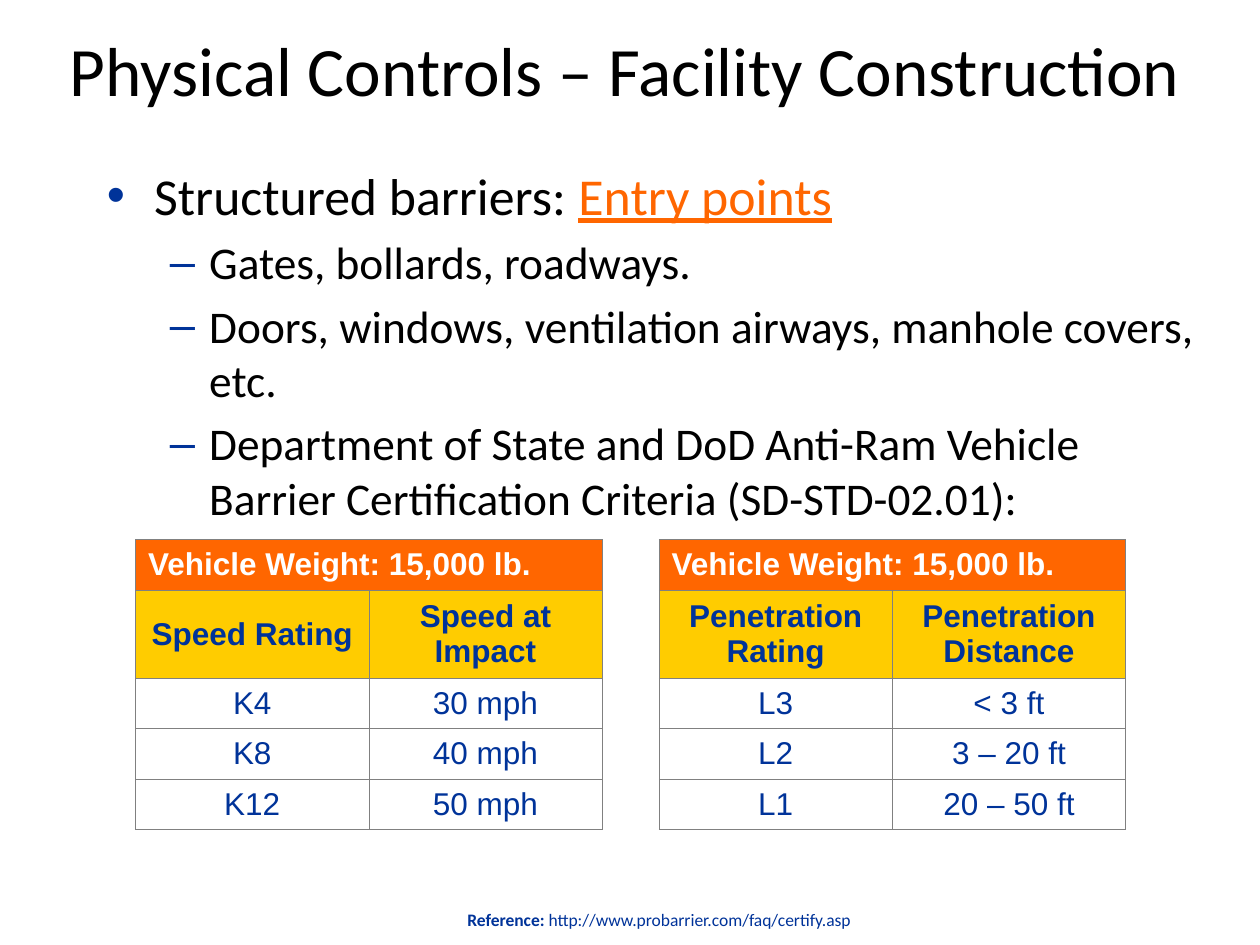
import pptx
import pptx.dml.color
import pptx.enum.text
import pptx.oxml
import pptx.oxml.ns
import pptx.util
from dataclasses import dataclass

Pt = pptx.util.Pt
ALIGN = pptx.enum.text.PP_ALIGN
MIDDLE = pptx.enum.text.MSO_ANCHOR.MIDDLE


@dataclass(frozen=True)
class Theme:
    black: str = "000000"
    white: str = "FFFFFF"
    navy: str = "003399"
    orange: str = "FF6600"
    yellow: str = "FFCC00"
    grid: str = "808080"
    heading_font: str = "Calibri"
    table_font: str = "Arial"
    title_size: float = 39.6
    point_size: float = 29.6
    subpoint_size: float = 25.9
    table_size: float = 18
    reference_size: float = 10


theme = Theme()


def write(paragraph, text, size, color, font=theme.heading_font, bold=False,
          underline=False, align=None):
    run = paragraph.add_run()
    run.text = text
    run.font.name = font
    run.font.size = Pt(size)
    run.font.bold = bold
    run.font.underline = underline
    run.font.color.rgb = pptx.dml.color.RGBColor.from_string(color)
    if align is not None:
        paragraph.alignment = align


def add_xml(parent, xml):
    namespace = pptx.oxml.ns.nsdecls("a")
    parent.append(pptx.oxml.parse_xml(xml.replace(" ", f" {namespace} ", 1)))


deck = pptx.Presentation()
deck.slide_width, deck.slide_height = Pt(720), Pt(540)
slide = deck.slides.add_slide(deck.slide_layouts[5])

# Title
title = slide.shapes.title
title.left, title.top, title.width, title.height = Pt(12.2), Pt(-2.9), Pt(690), Pt(84)
title.text_frame.vertical_anchor = MIDDLE
write(title.text_frame.paragraphs[0], "Physical Controls – Facility Construction",
      theme.title_size, theme.black, align=ALIGN.CENTER)

# Bulleted points: bullet, left margin, hanging indent, size, runs
points = [
    ("•", 27, 27, theme.point_size,
     [("Structured barriers: ", theme.black), ("Entry points", theme.orange)]),
]
for subpoint in (
    "Gates, bollards, roadways.",
    "Doors, windows, ventilation airways, manhole covers, etc.",
    "Department of State and DoD Anti-Ram Vehicle Barrier Certification Criteria (SD-STD-02.01):",
):
    points.append(("–", 58.5, 22.5, theme.subpoint_size, [(subpoint, theme.black)]))

barriers = slide.shapes.add_textbox(Pt(54), Pt(90), Pt(642), Pt(204)).text_frame
barriers.word_wrap = True
for index, (bullet, margin, hanging, size, runs) in enumerate(points):
    point = barriers.add_paragraph() if index else barriers.paragraphs[0]
    point.level = 1 if index else 0
    if index:
        point.space_before = Pt(5)
    properties = point._p.get_or_add_pPr()
    properties.set("marL", str(Pt(margin)))
    properties.set("indent", str(-Pt(hanging)))
    add_xml(properties, f'<a:buClr ><a:srgbClr val="{theme.navy}"/></a:buClr>')
    add_xml(properties, '<a:buFont typeface="Arial"/>')
    add_xml(properties, f'<a:buChar char="{bullet}"/>')
    for text, color in runs:
        write(point, text, size, color, underline=color == theme.orange)

# Rating tables: left edge, row height, header height, rows under the banner
ratings = [
    (77.5, 27.4, 47.4, [("Speed Rating", "Speed at Impact"),
                        ("K4", "30 mph"), ("K8", "40 mph"), ("K12", "50 mph")]),
    (376.6, 28.8, 50.4, [("Penetration Rating", "Penetration Distance"),
                         ("L3", "< 3 ft"), ("L2", "3 – 20 ft"), ("L1", "20 – 50 ft")]),
]
for left, row_height, header_height, body in ratings:
    rows = [("Vehicle Weight: 15,000 lb.", "")] + body
    height = row_height * 4 + header_height
    table = slide.shapes.add_table(len(rows), 2, Pt(left), Pt(308.3),
                                   Pt(266.6), Pt(height)).table
    table.first_row = table.horz_banding = False
    table.cell(0, 0).merge(table.cell(0, 1))
    for r, row in enumerate(rows):
        table.rows[r].height = Pt(header_height if r == 1 else row_height)
        for c, text in enumerate(row):
            cell = table.cell(r, c)
            cell.vertical_anchor = MIDDLE
            for side in "LRTB":
                add_xml(cell._tc.get_or_add_tcPr(),
                        f'<a:ln{side} w="{Pt(0.25)}"><a:solidFill>'
                        f'<a:srgbClr val="{theme.grid}"/></a:solidFill></a:ln{side}>')
            if r < 2:
                cell.fill.solid()
                cell.fill.fore_color.rgb = pptx.dml.color.RGBColor.from_string(
                    (theme.orange, theme.yellow)[r])
            else:
                cell.fill.background()
            if text:
                write(cell.text_frame.paragraphs[0], text, theme.table_size,
                      theme.navy if r else theme.white, font=theme.table_font,
                      bold=r < 2, align=ALIGN.CENTER if r else ALIGN.LEFT)

# Reference
reference = slide.shapes.add_textbox(Pt(260), Pt(516.2), Pt(250), Pt(19.4)).text_frame
reference.word_wrap = False
source = reference.paragraphs[0]
write(source, "Reference: ", theme.reference_size, theme.navy, bold=True)
write(source, "http://www.probarrier.com/faq/certify.asp", theme.reference_size, theme.navy)

deck.save("out.pptx")
